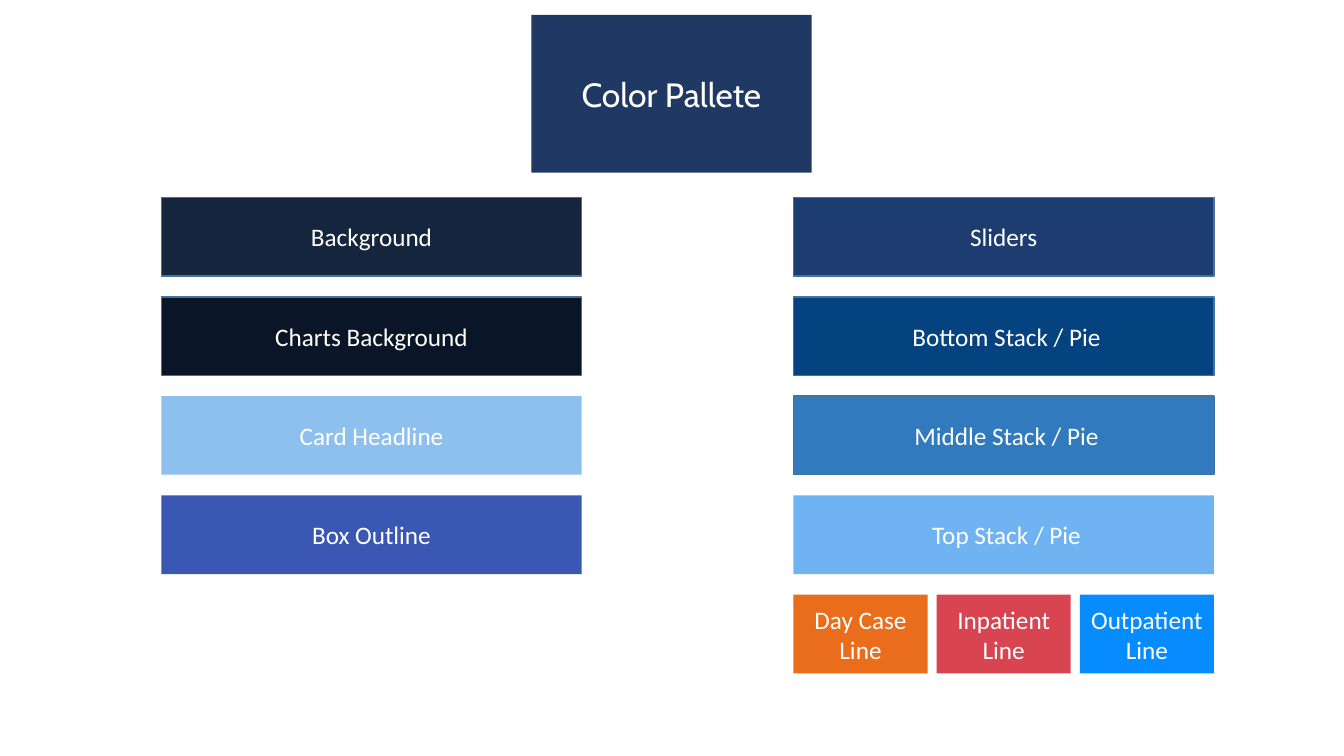
from dataclasses import dataclass

from pptx import Presentation
from pptx import util as u
from pptx.dml.color import RGBColor
from pptx.enum import shapes, text

COLORS = {
    "title": "203864",
    "text": "FFFFFF",
    "outline": "43739E",
    "background": "15253E",
    "charts": "0A1628",
    "headline": "8DC0EC",
    "box": "3A57B4",
    "sliders": "1D3D70",
    "bottom": "054380",
    "middle": "317ABE",
    "top": "6FB3F2",
    "day case": "E96D1A",
    "inpatient": "D94451",
    "outpatient": "078CFF",
}
LEFT_COLUMN, RIGHT_COLUMN = 1.6, 7.87
FIRST_ROW, LAST_ROW = 1.96, 5.9
ROW_PITCH = (LAST_ROW - FIRST_ROW) / 4
SWATCH_WIDTH, SWATCH_HEIGHT = 4.17, 0.78
LINE_SWATCH_WIDTH, LINE_SWATCH_PITCH = 1.33, 1.42


@dataclass(frozen=True)
class Swatch:
    label: str
    color: str
    outlined: bool = False


BASE_SWATCHES = [
    Swatch("Background", "background", True),
    Swatch("Charts Background", "charts", True),
    Swatch("Card Headline", "headline"),
    Swatch("Box Outline", "box"),
]
CHART_SWATCHES = [
    Swatch("Sliders", "sliders", True),
    Swatch(" Bottom Stack / Pie", "bottom", True),
    Swatch(" Middle Stack / Pie", "middle", True),
    Swatch(" Top Stack / Pie", "top"),
]
LINE_SWATCHES = [
    Swatch("Day Case Line", "day case"),
    Swatch("Inpatient Line", "inpatient"),
    Swatch("Outpatient Line", "outpatient"),
]


def rgb(name: str) -> RGBColor:
    return RGBColor.from_string(COLORS[name])


def fill_and_write(shape, label: str, color: str, font_name: str, size: int) -> None:
    shape.fill.solid()
    shape.fill.fore_color.rgb = rgb(color)
    frame = shape.text_frame
    frame.text = label
    frame.word_wrap = True
    frame.vertical_anchor = text.MSO_ANCHOR.MIDDLE
    paragraph = frame.paragraphs[0]
    paragraph.alignment = text.PP_ALIGN.CENTER
    font = paragraph.runs[0].font
    font.name = font_name
    font.size = u.Pt(size)
    font.color.rgb = rgb("text")


def add_title(slide) -> None:
    title = slide.shapes.title
    title.left, title.top = u.Inches(5.27), u.Inches(0.68)
    title.width, title.height = u.Inches(2.78), u.Inches(0.5)
    fill_and_write(title, "Color Pallete", "title", "Cabin", 24)
    title.text_frame.auto_size = text.MSO_AUTO_SIZE.SHAPE_TO_FIT_TEXT


def add_swatch(slide, swatch: Swatch, left: float, top: float, width: float) -> None:
    shape = slide.shapes.add_shape(
        shapes.MSO_SHAPE.RECTANGLE,
        u.Inches(left), u.Inches(top), u.Inches(width), u.Inches(SWATCH_HEIGHT),
    )
    shape.shadow.inherit = False
    fill_and_write(shape, swatch.label, swatch.color, "Calibri", 18)
    if swatch.outlined:
        shape.line.color.rgb = rgb("outline")
        shape.line.width = u.Pt(1)
    else:
        shape.line.fill.background()


def main() -> None:
    presentation = Presentation()
    presentation.slide_width = u.Inches(13.33)
    presentation.slide_height = u.Inches(7.5)
    title_only = presentation.slide_layouts.get_by_name("Title Only")
    slide = presentation.slides.add_slide(title_only)
    add_title(slide)
    for left, swatches in ((LEFT_COLUMN, BASE_SWATCHES), (RIGHT_COLUMN, CHART_SWATCHES)):
        for row, swatch in enumerate(swatches):
            add_swatch(slide, swatch, left, FIRST_ROW + row * ROW_PITCH, SWATCH_WIDTH)
    for column, swatch in enumerate(LINE_SWATCHES):
        left = RIGHT_COLUMN + column * LINE_SWATCH_PITCH
        add_swatch(slide, swatch, left, LAST_ROW, LINE_SWATCH_WIDTH)
    presentation.save("out.pptx")


if __name__ == "__main__":
    main()
